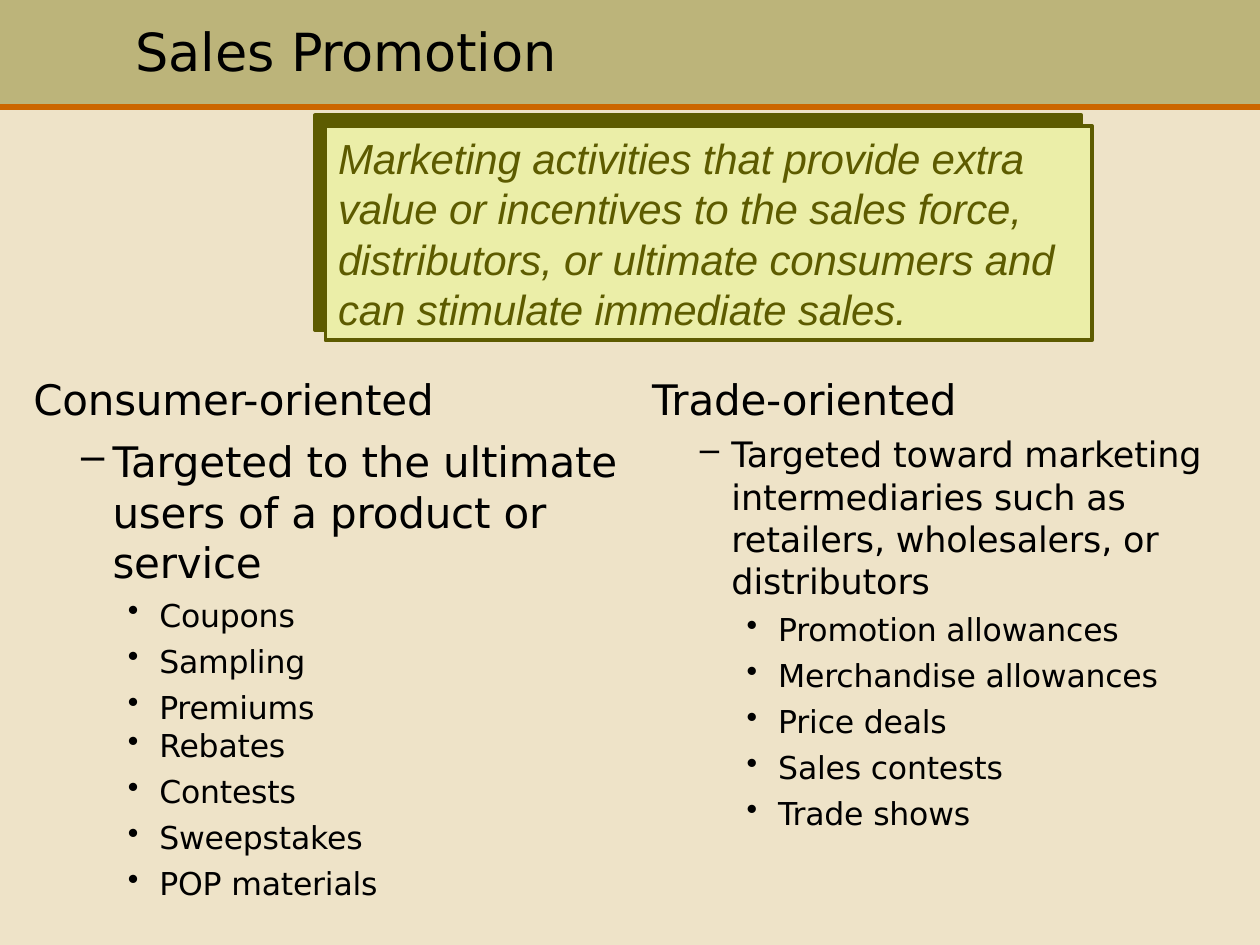
from dataclasses import dataclass

from lxml.etree import SubElement
from pptx import Presentation
from pptx.dml.color import RGBColor
from pptx.enum.shapes import MSO_CONNECTOR as Connector, MSO_SHAPE as Shape
from pptx.oxml.ns import qn
from pptx.util import Pt


@dataclass(frozen=True)
class Theme:
    body: str = "EEE3C8"
    header: str = "BCB47A"
    rule: str = "CC6600"
    olive: str = "5D5B00"
    panel: str = "EBEEA8"
    ink: str = "000000"
    sans: str = "DejaVu Sans"
    quote_font: str = "Arial"
    title_size: float = 30
    heading_size: float = 24
    trade_size: float = 20
    item_size: float = 18


THEME = Theme()
WIDTH, HEIGHT, HEADER = 720, 540, 61.2


class SlideBuilder:
    def __init__(self, slide, theme):
        self.slide, self.theme = slide, theme

    def rectangle(self, box, fill, line=None):
        rect = self.slide.shapes.add_shape(Shape.RECTANGLE, *map(Pt, box))
        rect.shadow.inherit = False
        rect.fill.solid()
        rect.fill.fore_color.rgb = RGBColor.from_string(fill)
        if line:
            rect.line.color.rgb = RGBColor.from_string(line)
            rect.line.width = Pt(2.25)
        else:
            rect.line.fill.background()

    def rule(self, start, end, color, width):
        rule = self.slide.shapes.add_connector(
            Connector.STRAIGHT, *map(Pt, (*start, *end)))
        rule.line.color.rgb = RGBColor.from_string(color)
        rule.line.width = Pt(width)
        SubElement(rule._element.spPr, qn("a:effectLst"))

    def text_box(self, box, top_inset=0.7):
        frame = self.slide.shapes.add_textbox(*map(Pt, box)).text_frame
        settings = {"word_wrap": True, "margin_left": 0, "margin_right": 0,
                    "margin_bottom": 0, "margin_top": Pt(top_inset)}
        for name, value in settings.items():
            setattr(frame, name, value)
        return frame

    def paragraph(self, frame, text, size, before=1, indent=0.7, hanging=0,
                  bullet=None, font=None, color=None, italic=False, spacing=1):
        first = frame.paragraphs[0]
        para = first if not first.runs else frame.add_paragraph()
        para.space_before, para.line_spacing = Pt(before), spacing
        run = para.add_run()
        run.text = text
        style = {"size": Pt(size), "name": font or self.theme.sans,
                 "italic": italic}
        for name, value in style.items():
            setattr(run.font, name, value)
        run.font.color.rgb = RGBColor.from_string(color or self.theme.ink)
        run.font._element.set("spc", "-10")
        props = para._p.get_or_add_pPr()
        props.set("marL", str(Pt(indent)))
        props.set("indent", str(Pt(-hanging)))
        if bullet:
            SubElement(props, qn("a:buChar"), char=bullet)

    def column(self, box, heading, target, target_size, target_before, items):
        frame = self.text_box(box, top_inset=7.2)
        self.paragraph(frame, heading, self.theme.heading_size, before=7.5)
        self.paragraph(frame, target, target_size, before=target_before,
                       indent=46, hanging=18, bullet="–", spacing=1.01)
        for item in items:
            before = 0.3 if item == "Rebates" else 4.7
            self.paragraph(frame, item, self.theme.item_size, before=before,
                           indent=72.7, hanging=18, bullet="•")


def main():
    deck = Presentation()
    deck.slide_width, deck.slide_height = Pt(WIDTH), Pt(HEIGHT)
    builder = SlideBuilder(deck.slides.add_slide(deck.slide_layouts[6]), THEME)

    # Background and header
    builder.rectangle((0, HEADER, WIDTH, HEIGHT - HEADER), THEME.body)
    builder.rectangle((0, 0, WIDTH, HEADER), THEME.header)
    builder.rule((0, HEADER), (WIDTH, HEADER), THEME.rule, 3)
    title = builder.text_box((77, 10, 247, 38))
    builder.paragraph(title, "Sales Promotion", THEME.title_size)

    # Definition panel over its offset backing
    left, top, width, height, offset = 180, 66, 438, 122.5, 6
    builder.rectangle((left, top, width, height), THEME.olive, THEME.olive)
    builder.rectangle((left + offset, top + offset, width, height),
                      THEME.panel, THEME.olive)
    definition = builder.text_box((left + offset, 75, 439, 117.5))
    builder.paragraph(
        definition,
        "Marketing activities that provide extra value or incentives to the "
        "sales force, distributors, or ultimate consumers and can stimulate "
        "immediate sales.",
        THEME.heading_size, indent=7.2, font=THEME.quote_font,
        color=THEME.olive, italic=True)

    # Two kinds of promotion
    builder.column(
        (372, 206, 322.5, 271.5), "Trade-oriented",
        "Targeted toward marketing intermediaries such as retailers, "
        "wholesalers, or distributors", THEME.trade_size, 5,
        ["Promotion allowances", "Merchandise allowances", "Price deals",
         "Sales contests", "Trade shows"])
    builder.column(
        (18.3, 206.4, 342, 310), "Consumer-oriented",
        "Targeted to the ultimate users of a product or service",
        THEME.heading_size, 6,
        ["Coupons", "Sampling", "Premiums", "Rebates", "Contests",
         "Sweepstakes", "POP materials"])

    deck.save("out.pptx")


if __name__ == "__main__":
    main()
